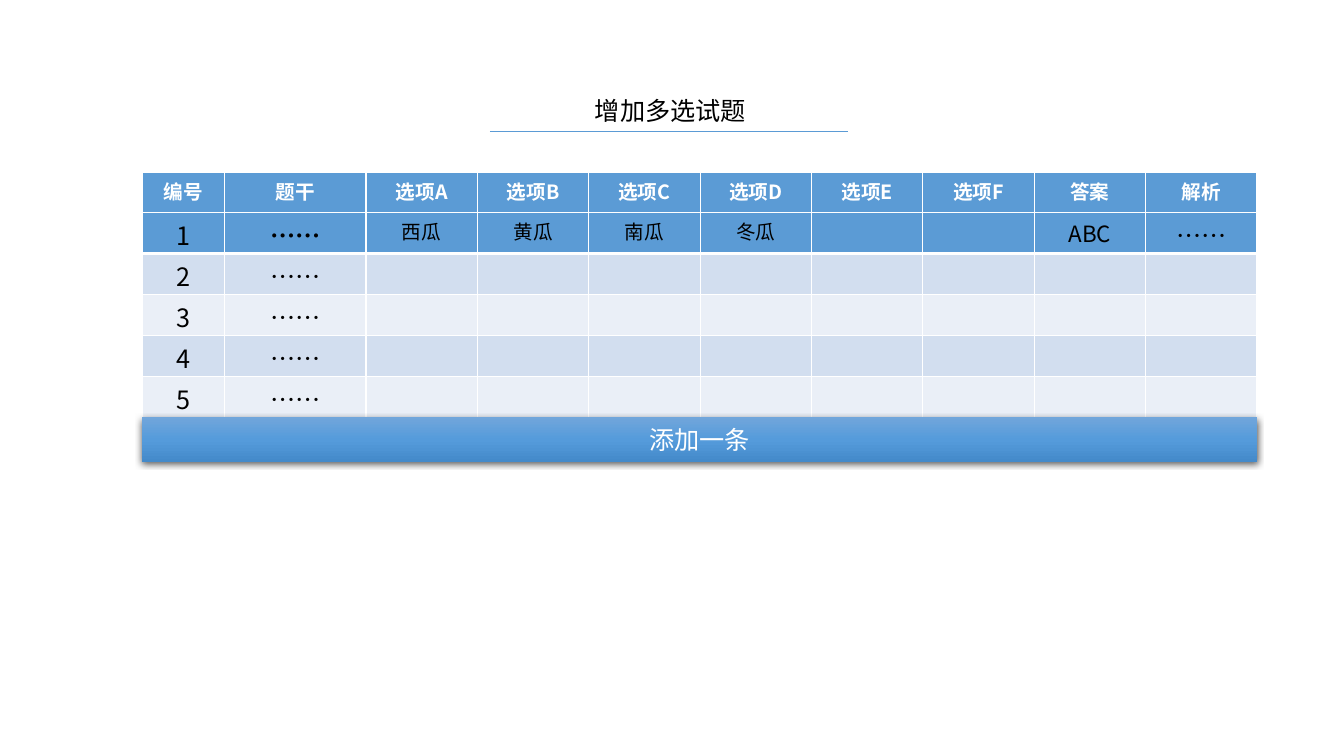
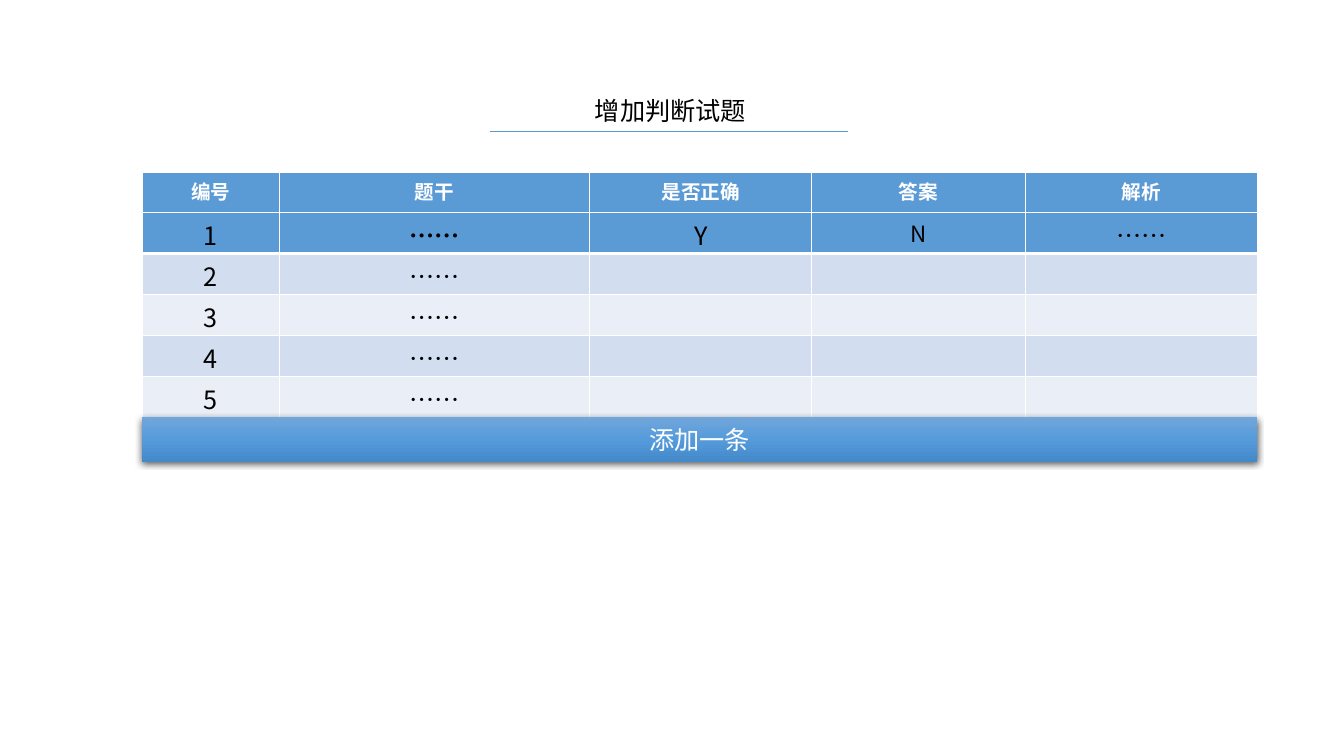
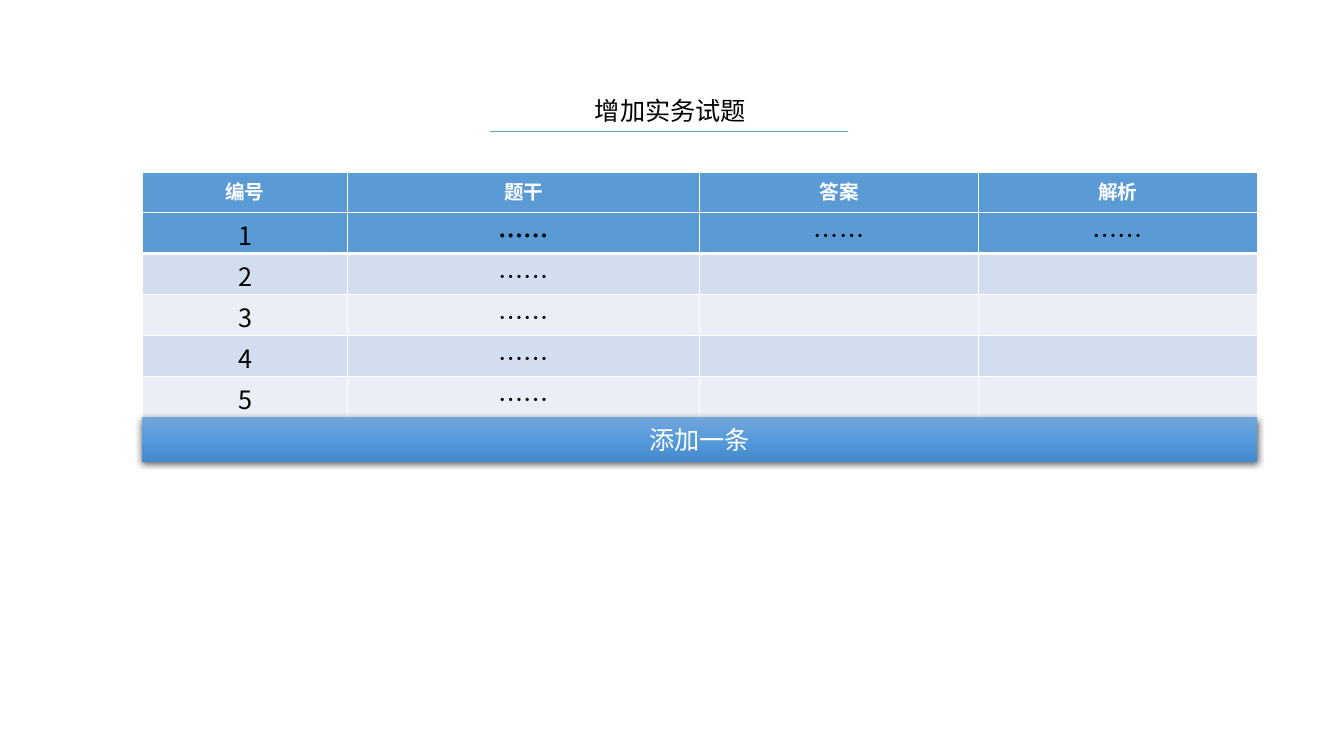
import pptx
import pptx.util
import pptx.dml.color
import pptx.enum.shapes
import pptx.enum.text
import pptx.oxml
import pptx.oxml.ns

Inches = pptx.util.Inches
Pt = pptx.util.Pt
RGBColor = pptx.dml.color.RGBColor

FONT = "Noto Sans CJK SC"
BLACK = RGBColor(0x00, 0x00, 0x00)
WHITE = RGBColor(0xFF, 0xFF, 0xFF)
BLUE = RGBColor(0x5B, 0x9B, 0xD5)
BANDS = (RGBColor(0xD2, 0xDE, 0xEF), RGBColor(0xEA, 0xEF, 0xF7))
BUTTON_STOPS = (
    (0, RGBColor(0x71, 0xA6, 0xDB)),
    (50, RGBColor(0x55, 0x9B, 0xDB)),
    (100, RGBColor(0x44, 0x8A, 0xCA)),
)

LEFT, WIDTH = 1.41, 11.06
HEADER_TOP, HEADER_HEIGHT = 1.71, 0.41
BODY_TOP, BODY_HEIGHT = 2.11, 2.03
BUTTON_HEIGHT = 0.44
ROW_COUNT = 5
DOTS = "……"
BUTTON_TEXT = "添加一条"

QUESTION_SLIDES = [
    {
        "title": "增加多选试题",
        "headers": ["编号", "题干", *(f"选项{letter}" for letter in "ABCDEF"), "答案", "解析"],
        "leading_widths": [0.82, 1.4],
        "sample": [("西瓜", 14), ("黄瓜", 14), ("南瓜", 14), ("冬瓜", 14),
                   ("", 18), ("", 18), ("ABC", 16), (DOTS, 18)],
    },
    {
        "title": "增加判断试题",
        "headers": ["编号", "题干", "是否正确", "答案", "解析"],
        "leading_widths": [1.36, 3.08, 2.2, 2.12],
        "sample": [("Y", 18), ("N", 16), (DOTS, 18)],
    },
    {
        "title": "增加实务试题",
        "headers": ["编号", "题干", "答案", "解析"],
        "leading_widths": [2.04, 3.49],
        "sample": [(DOTS, 18), (DOTS, 18)],
    },
]


def parse(tag, content):
    return pptx.oxml.parse_xml(
        f'<a:{tag} {pptx.oxml.ns.nsdecls("a")}>{content}</a:{tag}>')


def write_text(text_frame, text, size, color, bold=False):
    text_frame.text = text
    paragraph = text_frame.paragraphs[0]
    paragraph.alignment = pptx.enum.text.PP_ALIGN.CENTER
    font = paragraph.font
    font.size, font.bold, font.name = Pt(size), bold, FONT
    font.color.rgb = color
    east_asian = parse("ea", "")
    east_asian.set("typeface", FONT)
    paragraph._p.xpath("a:pPr/a:defRPr")[0].append(east_asian)


def add_title(slide, text):
    title = slide.shapes.title
    title.left, title.top = Inches(5.79), Inches(0.9)
    title.width, title.height = Inches(1.72), Inches(0.4)
    title.text_frame.word_wrap = False
    title.text_frame.auto_size = pptx.enum.text.MSO_AUTO_SIZE.NONE
    title.text_frame.vertical_anchor = pptx.enum.text.MSO_ANCHOR.MIDDLE
    write_text(title.text_frame, text, 18, BLACK)
    underline = slide.shapes.add_connector(
        pptx.enum.shapes.MSO_CONNECTOR.STRAIGHT,
        Inches(4.86), Inches(1.3), Inches(8.41), Inches(1.3))
    underline.line.color.rgb = BLUE
    underline.line.width = Pt(0.5)
    underline._element.spPr.append(parse("effectLst", ""))


def style_cell(cell, fill, bottom_border):
    properties = cell._tc.get_or_add_tcPr()
    for side, width in (("L", 1), ("R", 1), ("T", 1), ("B", bottom_border)):
        border = parse(f"ln{side}", f'<a:solidFill><a:srgbClr val="{WHITE}"/></a:solidFill>')
        border.set("w", str(Pt(width)))
        properties.append(border)
    cell.fill.solid()
    cell.fill.fore_color.rgb = fill
    cell.margin_top, cell.margin_bottom = Inches(0.04), 0


def add_grid(slide, top, height, widths, rows):
    table = slide.shapes.add_table(
        len(rows), len(widths), Inches(LEFT), Inches(top), Inches(WIDTH), Inches(height)).table
    table.first_row = table.horz_banding = False
    for column, width in zip(table.columns, widths):
        column.width = Inches(width)
    for row_index, (fill, bottom_border, texts) in enumerate(rows):
        for column_index in range(len(widths)):
            cell = table.cell(row_index, column_index)
            style_cell(cell, fill, bottom_border)
            if column_index < len(texts) and texts[column_index][0]:
                write_text(cell.text_frame, *texts[column_index])


def add_button(slide):
    button = slide.shapes.add_shape(
        pptx.enum.shapes.MSO_SHAPE.RECTANGLE, Inches(LEFT), Inches(BODY_TOP + BODY_HEIGHT),
        Inches(WIDTH), Inches(BUTTON_HEIGHT))
    stops = "".join(f'<a:gs pos="{position * 1000}"><a:srgbClr val="{color}"/></a:gs>'
                    for position, color in BUTTON_STOPS)
    properties = button._element.spPr
    properties.append(parse("gradFill", f'<a:gsLst>{stops}</a:gsLst><a:lin ang="5400000" scaled="0"/>'))
    button.line.fill.background()
    properties.append(parse(
        "effectLst",
        f'<a:outerShdw blurRad="{Pt(4.5)}" dist="{Pt(1.5)}" dir="5400000" algn="ctr" rotWithShape="0">'
        f'<a:srgbClr val="{BLACK}"><a:alpha val="63000"/></a:srgbClr></a:outerShdw>'))
    button.text_frame.vertical_anchor = pptx.enum.text.MSO_ANCHOR.MIDDLE
    write_text(button.text_frame, BUTTON_TEXT, 18, WHITE)


def add_question_slide(presentation, content):
    slide = presentation.slides.add_slide(presentation.slide_layouts.get_by_name("Title Only"))
    add_title(slide, content["title"])

    leading = content["leading_widths"]
    remaining = len(content["headers"]) - len(leading)
    widths = leading + [(WIDTH - sum(leading)) / remaining] * remaining

    header = [(text, 14, WHITE, True) for text in content["headers"]]
    add_grid(slide, HEADER_TOP, HEADER_HEIGHT, widths, [(BLUE, 3, header)])

    sample = [("1", 18, BLACK), (DOTS, 18, BLACK, True)]
    sample += [(text, size, BLACK) for text, size in content["sample"]]
    rows = [(BLUE, 3, sample)]
    for number in range(2, ROW_COUNT + 1):
        rows.append((BANDS[number % 2], 1, [(str(number), 18, BLACK), (DOTS, 18, BLACK)]))
    add_grid(slide, BODY_TOP, BODY_HEIGHT, widths, rows)
    add_button(slide)


def main():
    presentation = pptx.Presentation()
    presentation.slide_width = Inches(13.33)
    presentation.slide_height = Inches(7.5)
    for content in QUESTION_SLIDES:
        add_question_slide(presentation, content)
    presentation.save("out.pptx")


if __name__ == "__main__":
    main()
